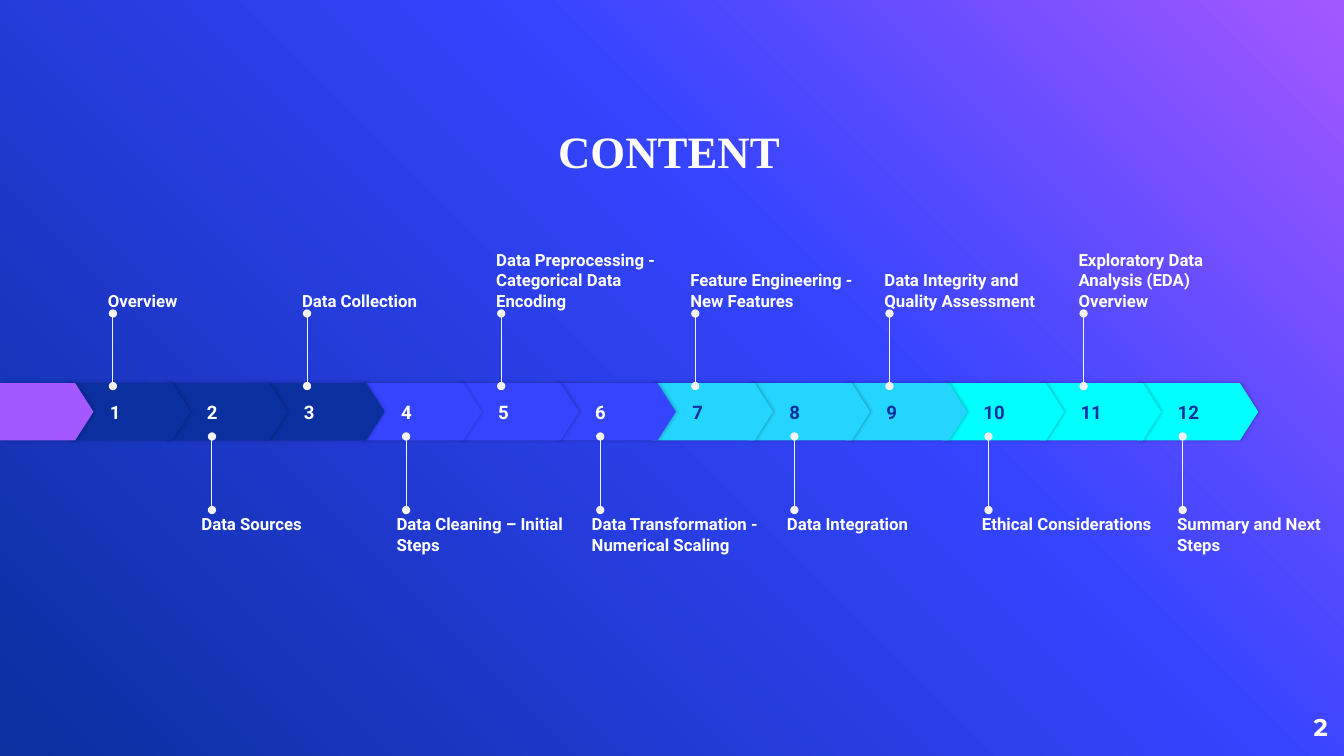
from collections import namedtuple
from copy import deepcopy

from pptx import Presentation
from pptx.dml.color import RGBColor
from pptx.enum.shapes import MSO_CONNECTOR as CONN, MSO_SHAPE as SHAPE
from pptx.enum.text import MSO_ANCHOR as ANCHOR, PP_ALIGN as ALIGN
from pptx.oxml.ns import qn
from pptx.util import Inches, Pt
from lxml.etree import SubElement

Box = namedtuple("Box", "x y w h")

WHITE, NAVY, BLUE, SKY, AQUA, PURPLE = (
    "FFFFFF", "0A2F9E", "3544FF", "24D6FF", "00FFFF", "A458FF")
GROUPS = [(NAVY, WHITE), (BLUE, WHITE), (SKY, NAVY), (AQUA, NAVY)]
TOPICS = [
    "Overview",
    "Data Sources",
    "Data Collection",
    "Data Cleaning – Initial Steps",
    "Data Preprocessing - Categorical Data Encoding",
    "Data Transformation - Numerical Scaling",
    "Feature Engineering - New Features",
    "Data Integration",
    "Data Integrity and Quality Assessment",
    "Ethical Considerations",
    "Exploratory Data Analysis (EDA) Overview",
    "Summary and Next Steps",
]
CHEVRON_W = 1.2
LABEL_W, LABEL_H = 1.82, 0.78


def rgb(value):
    return RGBColor.from_string(value)


def inches(box):
    return [Inches(v) for v in box]


def write(sp, text, size, font, color=WHITE, align=ALIGN.LEFT,
          anchor=ANCHOR.MIDDLE, left=0):
    tf = sp.text_frame
    tf.word_wrap = True
    tf.vertical_anchor = anchor
    tf.margin_left = Inches(left)
    tf.margin_right = tf.margin_top = tf.margin_bottom = 0
    tf.text = text
    p = tf.paragraphs[0]
    p.alignment = align
    f = p.runs[0].font
    f.size, f.name, f.bold = Pt(size), font, True
    f.color.rgb = rgb(color)


def add_background(s):
    fill = s.background.fill
    fill.gradient()
    fill.gradient_angle = 225
    stops = s._element.find(".//" + qn("a:gsLst"))
    stops.insert(1, deepcopy(stops[0]))
    colors = [(0, PURPLE), (0.39, BLUE), (1, NAVY)]
    for stop, (position, color) in zip(fill.gradient_stops, colors):
        stop.position = position
        stop.color.rgb = rgb(color)


def add_title(s, box, text):
    sp = s.shapes.title
    sp.left, sp.top, sp.width, sp.height = inches(box)
    write(sp, text, 32, "Times New Roman", align=ALIGN.CENTER,
          anchor=ANCHOR.BOTTOM)


def add_page_number(s, box, text):
    sp = s.shapes.add_textbox(*inches(box))
    write(sp, text, 17.3, "Montserrat", align=ALIGN.RIGHT)


def add_chevron(s, box, color):
    sp = s.shapes.add_shape(SHAPE.PENTAGON, *inches(box))
    sp.adjustments[0] = 0.32
    sp.fill.solid()
    sp.fill.fore_color.rgb = rgb(color)
    sp.line.fill.background()
    sp.shadow.inherit = False
    effects = sp._element.spPr.find(qn("a:effectLst"))
    shadow = SubElement(effects, qn("a:outerShdw"), blurRad=str(Pt(2.2)),
                        dist=str(Pt(0.8)), dir="0", rotWithShape="0")
    black = SubElement(shadow, qn("a:srgbClr"), val="000000")
    SubElement(black, qn("a:alpha"), val="20000")
    return sp


def add_pin(s, x, bottom, top):
    line = s.shapes.add_connector(CONN.STRAIGHT, *inches((x, bottom, x, top)))
    line.line.color.rgb = rgb("F3F3F3")
    line.line.width = Pt(0.75)
    ln = line.line._get_or_add_ln()
    for end in ("a:headEnd", "a:tailEnd"):
        SubElement(ln, qn(end), type="oval")
    SubElement(line._element.spPr, qn("a:effectLst"))


def add_label(s, box, text, anchor):
    sp = s.shapes.add_textbox(*inches(box))
    write(sp, text, 12, "Roboto", anchor=anchor)


def add_timeline(s, box, topics):
    step = (box.w - CHEVRON_W) / (len(topics) - 1)
    for i in reversed(range(len(topics))):
        fill, ink = GROUPS[i // 3]
        sp = add_chevron(s, (box.x + i * step, box.y, CHEVRON_W, box.h), fill)
        write(sp, str(i + 1), 13.3, "Roboto", ink, left=0.4)
    add_chevron(s, (0, box.y, box.x + CHEVRON_W - step, box.h), PURPLE)

    for i, topic in enumerate(topics):
        x = box.x + i * step
        if i % 2 == 0:
            add_pin(s, x + 0.43, box.y + 0.03, box.y - 0.69)
            label = Box(x + 0.38, box.y - 1.5, LABEL_W, LABEL_H)
            add_label(s, label, topic, ANCHOR.BOTTOM)
        else:
            bottom = box.y + box.h
            add_pin(s, x + 0.45, bottom + 0.69, bottom - 0.04)
            left = x + 0.34 + i * 0.005
            width = min(LABEL_W, 13.19 - left)
            label = Box(left, bottom + 0.73, width, LABEL_H)
            add_label(s, label, topic, ANCHOR.TOP)


def main():
    prs = Presentation()
    prs.slide_width, prs.slide_height = Inches(13.33), Inches(7.5)
    s = prs.slides.add_slide(prs.slide_layouts[5])
    add_background(s)
    add_title(s, Box(2.25, 0.51, 8.77, 1.25), "CONTENT")
    add_page_number(s, Box(12.37, 6.93, 0.8, 0.57), "2")
    add_timeline(s, Box(0.69, 3.8, 11.79, 0.57), TOPICS)
    prs.save("out.pptx")


if __name__ == "__main__":
    main()
